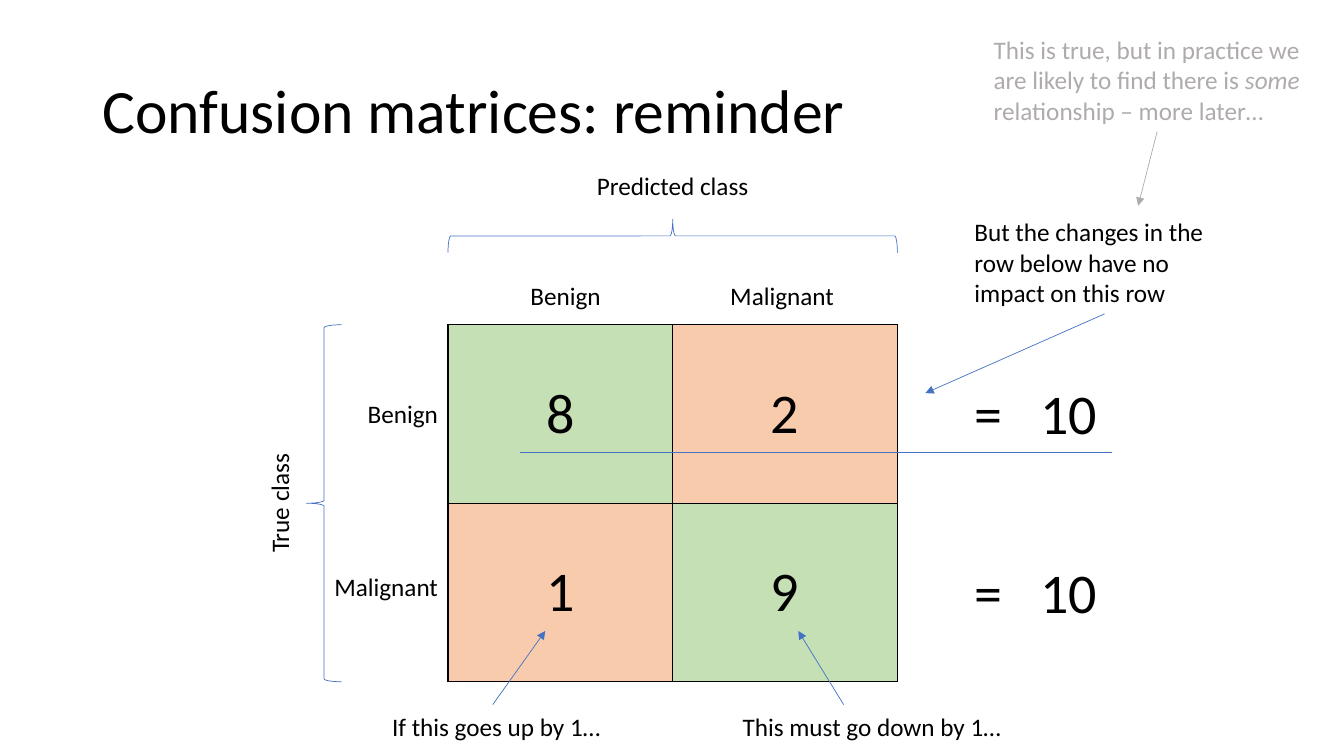
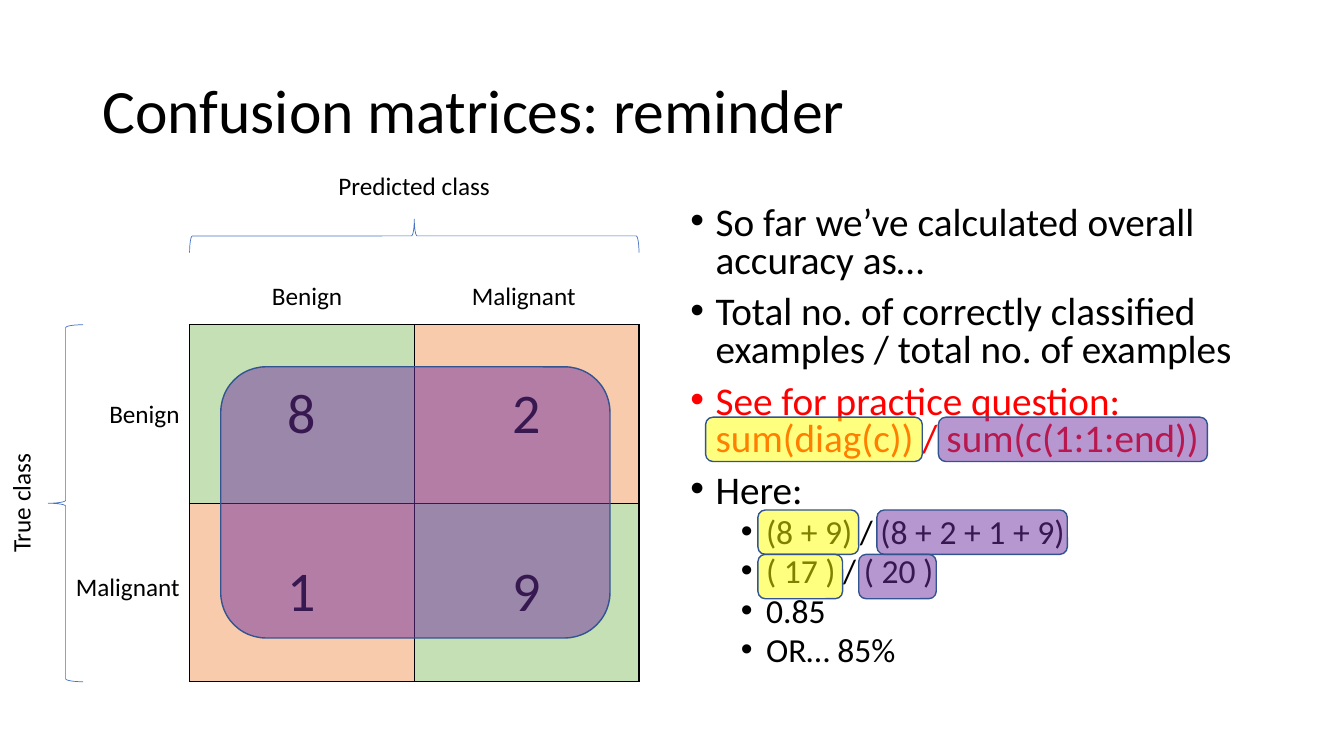
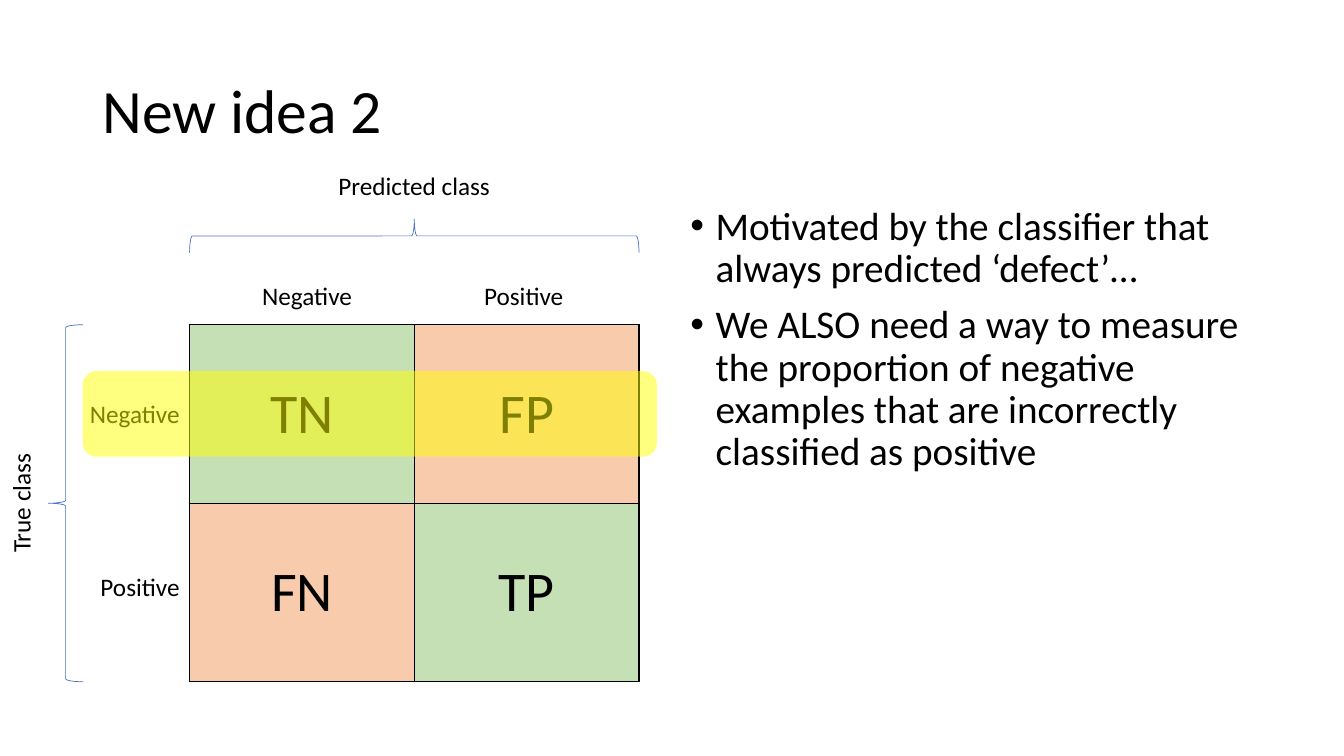
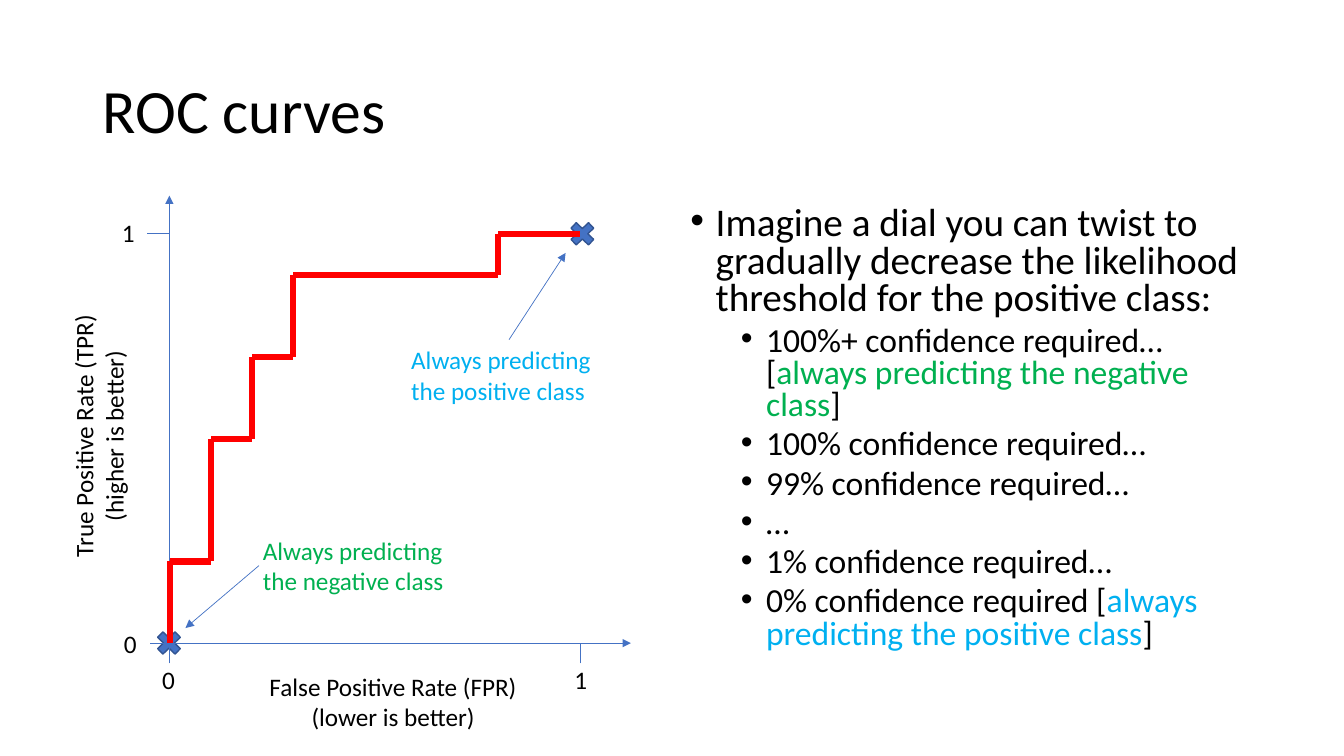
"""Build four slides on confusion matrices and ROC curves."""
from lxml.etree import SubElement
from pptx import Presentation
from pptx.dml.color import RGBColor
from pptx.enum.shapes import MSO_CONNECTOR, MSO_SHAPE
from pptx.enum.text import MSO_ANCHOR, MSO_AUTO_SIZE, PP_ALIGN as ALIGN
from pptx.oxml.ns import qn
from pptx.util import Pt

COLORS = {
    "black": "000000", "blue": "4472C4", "navy": "325491", "gray": "AFABAB",
    "mint": "C5E0B4", "peach": "F8CBAD", "purple": "7030A0", "yellow": "FFFF00",
    "red": "FF0000", "green": "00B050", "sky": "00B0F0",
}
RGB = {name: RGBColor.from_string(value) for name, value in COLORS.items()}
FONT = "Calibri"


def write(paragraph, size, runs):
    for text, color in runs:
        run = paragraph.add_run()
        run.text = text
        run.font.name = FONT
        run.font.size = Pt(size)
        run.font.color.rgb = RGB[color]


def add_line(slide, start, end, color="blue", width=0.5, arrow=False):
    points = [Pt(value) for value in (*start, *end)]
    connector = slide.shapes.add_connector(MSO_CONNECTOR.STRAIGHT, *points)
    connector.line.color.rgb = RGB[color]
    connector.line.width = Pt(width)
    properties = connector._element.spPr
    if arrow:
        SubElement(properties.find(qn("a:ln")), qn("a:tailEnd"), type="triangle")
    SubElement(properties, qn("a:effectLst"))
    return connector


presentation = Presentation()
presentation.slide_width = Pt(960)
presentation.slide_height = Pt(540)

contents = [
    ("Confusion matrices: reminder", 0.9, []),
    ("Confusion matrices: reminder", 0.8, [
        (0, [("So far we’ve calculated overall accuracy as…", "black")]),
        (0, [("Total no. of correctly classified examples / total no. of examples", "black")]),
        (0, [("See for practice question: sum(diag(c)) / sum(c(1:1:end))", "red")]),
        (0, [("Here:", "black")]),
        (1, [("(8 + 9) / (8 + 2 + 1 + 9)", "black")]),
        (1, [("( 17 ) / ( 20 )", "black")]),
        (1, [("0.85", "black")]),
        (1, [("OR… 85%", "black")]),
    ]),
    ("New idea 2", 0.9, [
        (0, [("Motivated by the classifier that always predicted ‘defect’…", "black")]),
        (0, [("We ALSO need a way to measure the proportion of negative examples "
              "that are incorrectly classified as positive", "black")]),
    ]),
    ("ROC curves", 0.8, [
        (0, [("Imagine a dial you can twist to gradually decrease the likelihood "
              "threshold for the positive class:", "black")]),
        (1, [("100%+ confidence required… [", "black"),
             ("always predicting the negative class", "green"), ("]", "black")]),
        (1, [("100% confidence required…", "black")]),
        (1, [("99% confidence required…", "black")]),
        (1, [("…", "black")]),
        (1, [("1% confidence required…", "black")]),
        (1, [("0% confidence required [", "black"),
             ("always predicting the positive class", "sky"), ("]", "black")]),
    ]),
]

slides = []
for heading, spacing, bullets in contents:
    layout = presentation.slide_layouts[1 if bullets else 5]
    slide = presentation.slides.add_slide(layout)
    slides.append(slide)
    title = slide.shapes.title
    title.left, title.top, title.width, title.height = Pt(66), Pt(28.8), Pt(828), Pt(104.4)
    title.text_frame.auto_size = MSO_AUTO_SIZE.NONE
    title.text_frame.vertical_anchor = MSO_ANCHOR.MIDDLE
    paragraph = title.text_frame.paragraphs[0]
    paragraph.alignment = ALIGN.LEFT
    paragraph.line_spacing = 0.9
    write(paragraph, 44, [(heading, "black")])
    if not bullets:
        continue
    body = slide.placeholders[1]
    body.left, body.top, body.width, body.height = Pt(486), Pt(143.75), Pt(408), Pt(342.5)
    frame = body.text_frame
    frame.auto_size = MSO_AUTO_SIZE.NONE
    for index, (level, runs) in enumerate(bullets):
        paragraph = frame.add_paragraph() if index else frame.paragraphs[0]
        paragraph.level = level
        paragraph.line_spacing = spacing
        paragraph.space_before = Pt(5 if level else 10)
        properties = paragraph._p.get_or_add_pPr()
        properties.set("marL", str(Pt(54 if level else 18)))
        properties.set("indent", str(Pt(-18)))
        SubElement(properties, qn("a:buFont"), typeface="Arial")
        SubElement(properties, qn("a:buChar"), char="•")
        write(paragraph, 24 if level else 28, runs)

count_slide, accuracy_slide, idea_slide, roc_slide = slides
labels = []
shapes = []

MATRIX_TOP, CELL_WIDTH, CELL_HEIGHT = 232, 160.5, 127.5
matrices = [
    (count_slide, 320, ("Benign", "Malignant"), (("8", "2"), ("1", "9"))),
    (accuracy_slide, 135.4, ("Benign", "Malignant"), (("8", "2"), ("1", "9"))),
    (idea_slide, 135.4, ("Negative", "Positive"), (("TN", "FP"), ("FN", "TP"))),
]
for slide, left, classes, values in matrices:
    middle = left + CELL_WIDTH
    frame = slide.shapes.add_table(
        2, 2, Pt(left), Pt(MATRIX_TOP), Pt(2 * CELL_WIDTH), Pt(2 * CELL_HEIGHT))
    table = frame.table
    table.first_row = table.horz_banding = False
    for row, texts in enumerate(values):
        table.rows[row].height = Pt(CELL_HEIGHT)
        for column, text in enumerate(texts):
            cell = table.cell(row, column)
            cell.vertical_anchor = MSO_ANCHOR.MIDDLE
            for side in ("a:lnL", "a:lnR", "a:lnT", "a:lnB"):
                border = SubElement(cell._tc.get_or_add_tcPr(), qn(side), w=str(Pt(1)))
                fill = SubElement(border, qn("a:solidFill"))
                SubElement(fill, qn("a:srgbClr"), val=COLORS["black"])
            cell.fill.solid()
            cell.fill.fore_color.rgb = RGB["mint" if row == column else "peach"]
            paragraph = cell.text_frame.paragraphs[0]
            paragraph.alignment = ALIGN.CENTER
            write(paragraph, 40, [(text, "black")])
    shapes += [
        (slide, MSO_SHAPE.LEFT_BRACE, left - 101, MATRIX_TOP, 25, 255, None, "blue", 0),
        (slide, MSO_SHAPE.LEFT_BRACE, middle - 12, 8, 24, 321, None, "blue", 90),
    ]
    labels += [
        (slide, left - 181.5, 345, 122, 29, "True class", ALIGN.CENTER, 18, "black", 270),
        (slide, middle - 83, 118, 166, 29, "Predicted class", ALIGN.CENTER, 18, "black", 0),
    ]
    for name, row_top, column_offset in zip(classes, (281, 404.6), (23, 177.7)):
        labels += [
            (slide, left - 122, row_top, 122, 29, name, ALIGN.RIGHT, 18, "black", 0),
            (slide, left + column_offset, 197, 122, 29, name, ALIGN.CENTER, 18, "black", 0),
        ]

TOTAL = "=\t10"
CAVEAT = "This is true, but in practice we are likely to find there is some relationship – more later…"
NO_IMPACT = "But the changes in the row below have no impact on this row"
ALWAYS_NEGATIVE = "Always predicting the negative class"
ALWAYS_POSITIVE = "Always predicting the positive class"
labels += [
    (count_slide, 689, 267, 261, 55, TOTAL, ALIGN.LEFT, 40, "black", 0),
    (count_slide, 689, 394.6, 261, 55, TOTAL, ALIGN.LEFT, 40, "black", 0),
    (count_slide, 273, 504.7, 174, 29, "If this goes up by 1…", ALIGN.LEFT, 18, "black", 0),
    (count_slide, 523.4, 504.7, 200, 29, "This must go down by 1…", ALIGN.LEFT, 18, "black", 0),
    (count_slide, 702.7, 21, 247.7, 73, CAVEAT, ALIGN.LEFT, 18, "gray", 0),
    (count_slide, 689, 151.2, 200, 73, NO_IMPACT, ALIGN.LEFT, 18, "black", 0),
    (roc_slide, 165.6, 476, 230.4, 51, "False Positive Rate (FPR)\n(lower is better)",
     ALIGN.CENTER, 18, "black", 0),
    (roc_slide, -44.6, 286, 230.4, 51, "True Positive Rate (TPR)\n(higher is better)",
     ALIGN.CENTER, 18, "black", 270),
    (roc_slide, 180.7, 378.7, 154, 51, ALWAYS_NEGATIVE, ALIGN.LEFT, 18, "green", 0),
    (roc_slide, 286.6, 242.6, 154, 51, ALWAYS_POSITIVE, ALIGN.LEFT, 18, "sky", 0),
]
for left, top, digit in ((80, 152, "1"), (81.4, 445, "0"), (403.2, 471, "1"), (108.7, 471, "0")):
    labels.append((roc_slide, left, top, 24, 29, digit, ALIGN.LEFT, 18, "black", 0))

boxes = {}
for slide, left, top, width, height, text, alignment, size, color, rotation in labels:
    box = slide.shapes.add_textbox(Pt(left), Pt(top), Pt(width), Pt(height))
    box.rotation = rotation
    frame = box.text_frame
    frame.word_wrap = True
    for index, line in enumerate(text.split("\n")):
        paragraph = frame.add_paragraph() if index else frame.paragraphs[0]
        paragraph.alignment = alignment
        before, emphasis, after = line.partition("some") if text == CAVEAT else (line, "", "")
        write(paragraph, size, [(part, color) for part in (before, emphasis, after) if part])
        if emphasis:
            paragraph.runs[1].font.italic = True
        if text == TOTAL:
            tabs = SubElement(paragraph._p.get_or_add_pPr(), qn("a:tabLst"))
            SubElement(tabs, qn("a:tab"), pos=str(Pt(47)), algn="l")
    boxes[text] = box

highlights = [
    (accuracy_slide, 157.7, 262, 278, 193.7, "purple", "navy"),
    (accuracy_slide, 504, 298, 154.8, 31.7, "yellow", "navy"),
    (accuracy_slide, 541.4, 364.3, 72, 31.7, "yellow", "navy"),
    (accuracy_slide, 670.3, 298, 192.2, 31.7, "purple", "navy"),
    (accuracy_slide, 626.4, 364.3, 136, 31.7, "purple", "navy"),
    (accuracy_slide, 541.4, 396, 60.5, 31.7, "yellow", "navy"),
    (accuracy_slide, 613.4, 396, 55.4, 31.7, "purple", "navy"),
    (idea_slide, 59, 265, 410.4, 61.2, "yellow", None),
]
for slide, left, top, width, height, fill, outline in highlights:
    shapes.append((slide, MSO_SHAPE.ROUNDED_RECTANGLE, left, top, width, height, fill, outline, 0))
for left, top in ((108.7, 447.8), (404, 155.5)):
    shapes.append((roc_slide, MSO_SHAPE.MATH_MULTIPLY, left, top, 24, 23, "blue", "navy", 0))

for slide, kind, left, top, width, height, fill, outline, rotation in shapes:
    shape = slide.shapes.add_shape(kind, Pt(left), Pt(top), Pt(width), Pt(height))
    shape.shadow.inherit = False
    shape.rotation = rotation
    if fill:
        shape.fill.solid()
        shape.fill.fore_color.rgb = RGB[fill]
    else:
        shape.fill.background()
    if kind == MSO_SHAPE.ROUNDED_RECTANGLE:
        color_element = shape._element.spPr.find(qn("a:solidFill"))[0]
        SubElement(color_element, qn("a:alpha"), val="50000")
    if outline:
        shape.line.color.rgb = RGB[outline]
        shape.line.width = Pt(0.5 if kind == MSO_SHAPE.LEFT_BRACE else 1)
    else:
        shape.line.fill.background()

add_line(count_slide, (371.5, 323.3), (794.2, 323.3))
arrows = [
    (count_slide, (352, 503.3), (389.5, 450.7), "blue", None, None),
    (count_slide, (602.6, 503.3), (570.2, 450.7), "blue", None, None),
    (count_slide, (826.6, 94), (813, 147), "gray", CAVEAT, 2),
    (count_slide, (789, 224), (661, 280.8), "blue", NO_IMPACT, 2),
    (roc_slide, (185, 404), (132.5, 448.6), "blue", None, None),
    (roc_slide, (363.6, 242.6), (404, 180.7), "blue", ALWAYS_POSITIVE, 0),
    (roc_slide, (121, 459.4), (121, 139.7), "blue", None, None),
    (roc_slide, (121, 459.4), (450.7, 459.4), "blue", None, None),
]
for slide, start, end, color, source, site in arrows:
    arrow = add_line(slide, start, end, color, arrow=True)
    if source:
        arrow.begin_connect(boxes[source], site)

for start, end in (
    ((121, 167), (105, 167)), ((122.4, 459.4), (107.3, 459.4)),
    ((121, 473.8), (121, 459.4)), ((414.7, 473.8), (414.7, 459.4)),
):
    add_line(roc_slide, start, end)

STEPS = {"U": (0, -29.2), "R": (29.3, 0)}
x, y = 121.5, 459.4
for step in "UURUUURUURUURRRRRURR":
    across, down = STEPS[step]
    add_line(roc_slide, (x, y), (x + across, y + down), "red", 4.5)
    x, y = x + across, y + down

presentation.save("out.pptx")
